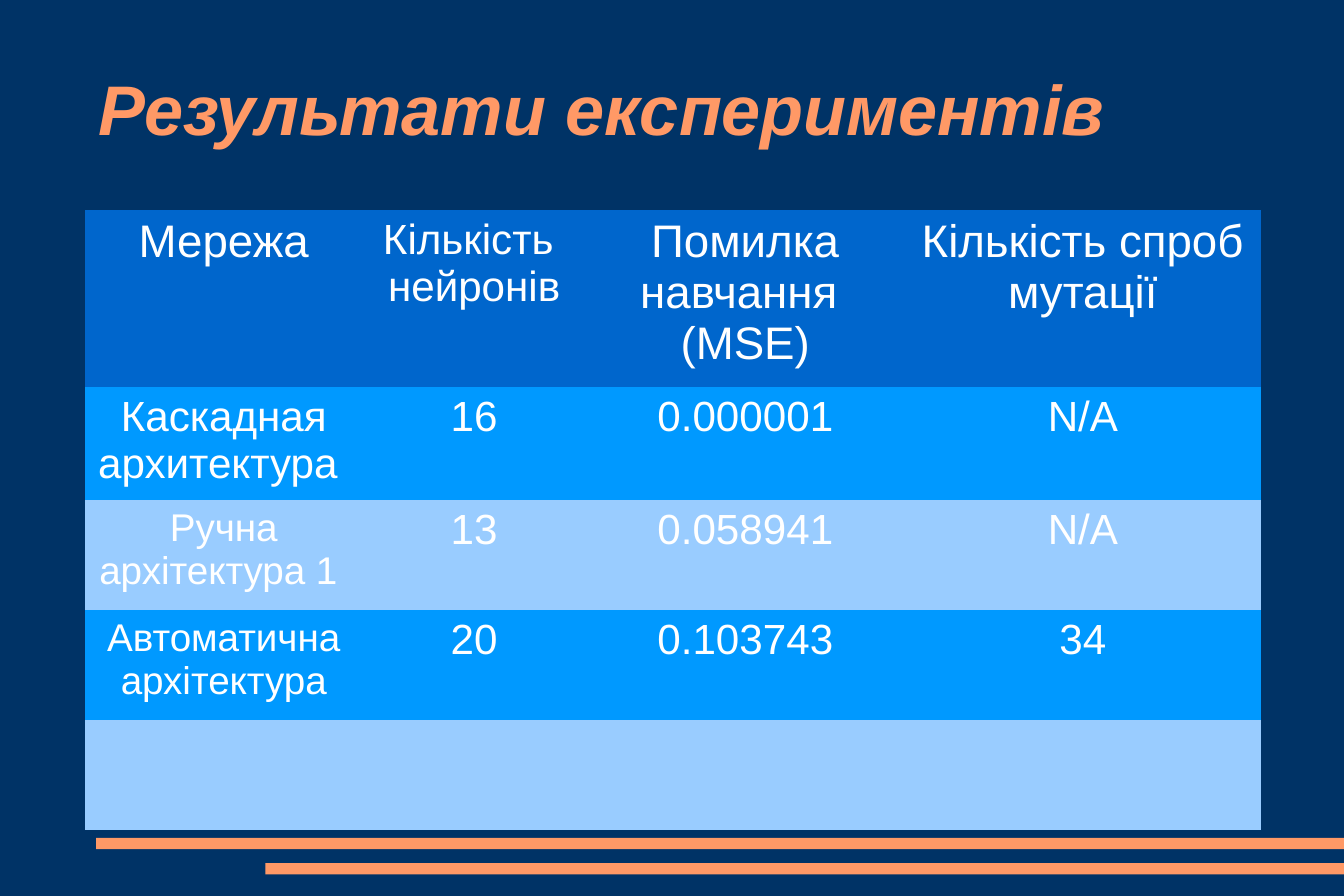
from pptx import Presentation
from pptx.dml.color import RGBColor
from pptx.enum.shapes import MSO_SHAPE
from pptx.enum.text import MSO_ANCHOR, PP_ALIGN
from pptx.oxml.ns import qn
from pptx.util import Inches, Pt

NAVY = RGBColor(0x00, 0x33, 0x66)
ORANGE = RGBColor(0xFF, 0x99, 0x66)
WHITE = RGBColor(0xFF, 0xFF, 0xFF)
HEADER_BLUE = RGBColor(0x00, 0x66, 0xCC)
BAND_BLUES = [RGBColor(0x00, 0x99, 0xFF), RGBColor(0x99, 0xCC, 0xFF)]

SLIDE_W, SLIDE_H = 10.63, 7.09
NO_STYLE = "{2D5ABB26-0587-4C30-8999-92F81FD0307C}"

TITLE = "Результати експериментів"
# Each cell: text (one paragraph per line) and font size
ROWS = [
    [("Мережа", 26), ("Кількість \nнейронів", 24),
     ("Помилка навчання \n(MSE)", 26), ("Кількість спроб мутації", 26)],
    [("Каскадная архитектура ", 24), ("16", 24), ("0.000001", 24), ("N/A", 24)],
    [("Ручна архітектура 1 ", 22), ("13", 24), ("0.058941", 24), ("N/A", 24)],
    [("Автоматична архітектура", 22), ("20", 24), ("0.103743", 24), ("34", 24)],
    [("", 24)] * 4,
]
COL_WIDTHS = [2.2, 1.76, 2.53, 2.81]
ROW_HEIGHTS = [1.4, 0.89, 0.87, 0.87, 0.87]
TABLE_LEFT, TABLE_TOP = 0.67, 1.66
STRIPES = [(0.76, 6.63), (2.1, 6.83)]  # left, top; each runs to the right edge
STRIPE_H = 0.09


def write(tf, text, size, color=WHITE, align=PP_ALIGN.LEFT, bold=False, italic=False):
    for i, line in enumerate(text.split("\n")):
        p = tf.add_paragraph() if i else tf.paragraphs[0]
        p.alignment = align
        p.font.size = Pt(size)
        if not line:
            continue
        r = p.add_run()
        r.text = line
        r.font.name = "Arial"
        r.font.size = Pt(size)
        r.font.color.rgb = color
        r.font.bold = bold
        r.font.italic = italic


def add_stripe(s, left, top):
    sp = s.shapes.add_shape(MSO_SHAPE.RECTANGLE, Inches(left), Inches(top),
                            Inches(SLIDE_W - left), Inches(STRIPE_H))
    sp.shadow.inherit = False
    sp.fill.solid()
    sp.fill.fore_color.rgb = ORANGE
    sp.line.fill.background()


def add_title(s):
    tf = s.shapes.add_textbox(Inches(0.78), Inches(0.26),
                              Inches(9.08), Inches(1.18)).text_frame
    tf.word_wrap = True
    tf.vertical_anchor = MSO_ANCHOR.MIDDLE
    tf.margin_left = tf.margin_right = tf.margin_top = tf.margin_bottom = 0
    write(tf, TITLE, 40, color=ORANGE, bold=True, italic=True)


def add_results(s):
    frame = s.shapes.add_table(len(ROWS), len(COL_WIDTHS),
                               Inches(TABLE_LEFT), Inches(TABLE_TOP),
                               Inches(sum(COL_WIDTHS)), Inches(sum(ROW_HEIGHTS)))
    for style in frame.element.iter(qn("a:tableStyleId")):
        style.text = NO_STYLE
    table = frame.table
    table.horz_banding = False
    for col, width in zip(table.columns, COL_WIDTHS):
        col.width = Inches(width)
    for i, (row, height) in enumerate(zip(table.rows, ROW_HEIGHTS)):
        row.height = Inches(height)
        fill = BAND_BLUES[(i - 1) % 2] if i else HEADER_BLUE
        for cell, (text, size) in zip(row.cells, ROWS[i]):
            cell.fill.solid()
            cell.fill.fore_color.rgb = fill
            write(cell.text_frame, text, size, align=PP_ALIGN.CENTER)


def main():
    prs = Presentation()
    prs.slide_width, prs.slide_height = Inches(SLIDE_W), Inches(SLIDE_H)
    s = prs.slides.add_slide(prs.slide_layouts[6])
    s.background.fill.solid()
    s.background.fill.fore_color.rgb = NAVY
    for left, top in STRIPES:
        add_stripe(s, left, top)
    add_title(s)
    add_results(s)
    prs.save("out.pptx")


if __name__ == "__main__":
    main()
